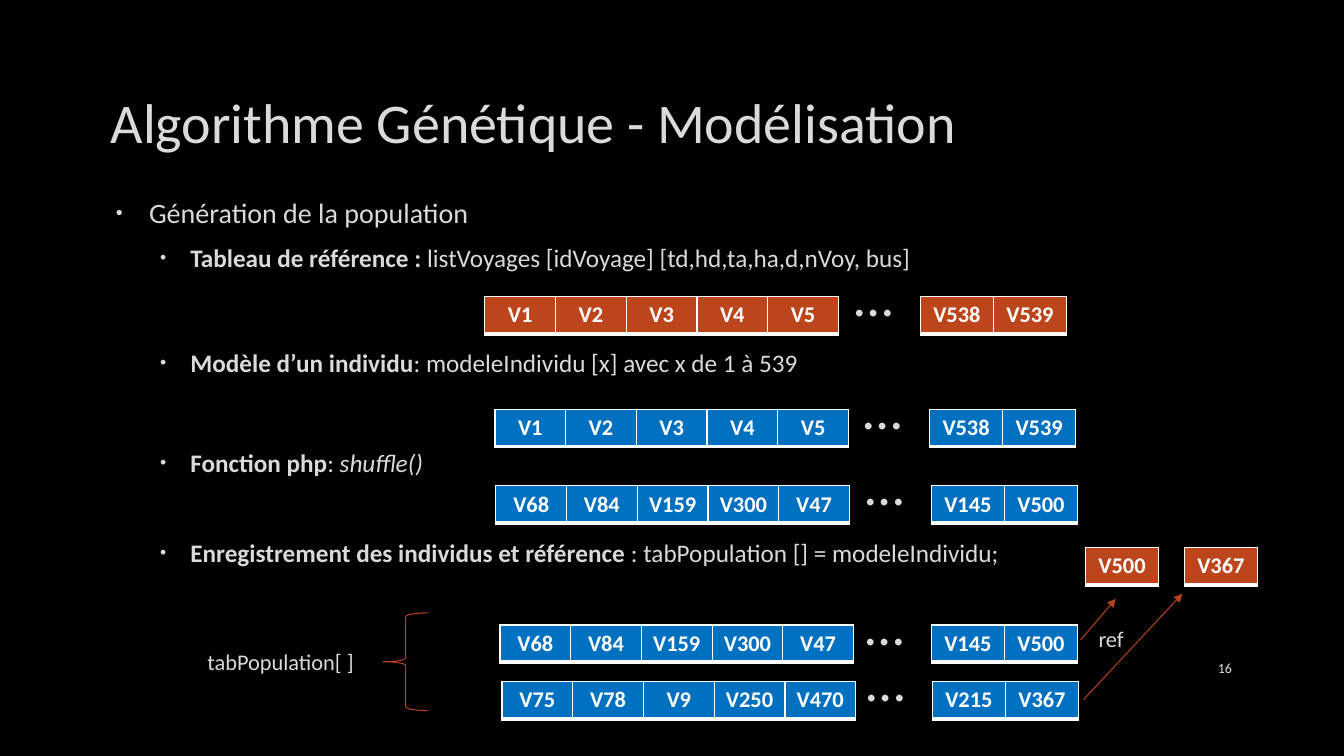
"""Build the slide on modelling a genetic algorithm."""
from dataclasses import dataclass

from lxml import etree
from pptx import Presentation
from pptx.dml.color import RGBColor
from pptx.enum import shapes, text
from pptx.oxml import ns
from pptx.util import Pt

BLACK = RGBColor(0x00, 0x00, 0x00)
WHITE = RGBColor(0xFF, 0xFF, 0xFF)
GREY = RGBColor(0xDA, 0xDA, 0xDA)
BLUE = RGBColor(0x00, 0x70, 0xC0)
RUST = RGBColor(0xBC, 0x45, 0x1B)
BRICK = RGBColor(0xB4, 0x42, 0x1A)
FONT = "Calibri"
HEAD_W, TAIL_W, ROW_H = 50.54, 52.2, 26.7
DOTS_DX, DOTS_DY = 54, 29.2


@dataclass
class Strip:
    left: float
    top: float
    width: float
    fill: RGBColor
    names: str


@dataclass
class Chain:
    left: float
    right: float
    top: float
    fill: RGBColor
    head: str
    tail: str


@dataclass
class Label:
    words: str
    left: float
    top: float
    width: float
    height: float
    size: float
    align: text.PP_ALIGN = text.PP_ALIGN.LEFT
    anchor: text.MSO_ANCHOR = text.MSO_ANCHOR.TOP


@dataclass
class Point:
    bold: str
    plain: str
    slant: str
    size: float
    gap: float
    margin: float
    indent: float


@dataclass
class Arrow:
    x1: float
    y1: float
    x2: float
    y2: float


CHAINS = [
    Chain(346.3, 657.4, 211.7, RUST, "V1 V2 V3 V4 V5", "V538 V539"),
    Chain(353.5, 664, 292.3, BLUE, "V1 V2 V3 V4 V5", "V538 V539"),
    Chain(354.2, 665.3, 347, BLUE, "V68 V84 V159 V300 V47", "V145 V500"),
    Chain(357.1, 665.3, 446.4, BLUE, "V68 V84 V159 V300 V47", "V145 V500"),
    Chain(358.6, 666, 486.7, BLUE, "V75 V78 V9 V250 V470", "V215 V367"),
]
SINGLES = [
    Strip(775.4, 391, TAIL_W, RUST, "V500"),
    Strip(846, 391, TAIL_W, RUST, "V367"),
]
LABELS = [
    Label("Algorithme Génétique - Modélisation", 72, 48.2, 815, 76.3, 40,
          anchor=text.MSO_ANCHOR.MIDDLE),
    Label("16", 828, 463, 59, 28.8, 10, text.PP_ALIGN.RIGHT, text.MSO_ANCHOR.MIDDLE),
    Label("tabPopulation[ ]", 141.1, 459.4, 141.1, 26.7, 16),
    Label("ref", 777.6, 442.8, 43.2, 26.7, 16),
]
POINTS = [
    Point("", "Génération de la population", "", 20, 0, 27.4, -23.8),
    Point("Tableau de référence : ", "listVoyages [idVoyage] [td,hd,ta,ha,d,nVoy, bus]",
          "", 18, 9.2, 56.9, -21.6),
    Point("Modèle d’un individu", ": modeleIndividu [x] avec x de 1 à 539",
          "", 18, 53.7, 56.9, -21.6),
    Point("Fonction php", ": ", "shuffle()", 18, 49.5, 56.9, -21.6),
    Point("Enregistrement des individus et référence ",
          ": tabPopulation [] = modeleIndividu;", "", 18, 43, 56.9, -21.6),
]
ARROWS = [Arrow(771.8, 457.2, 797, 427.7), Arrow(774, 499.7, 844.6, 424.1)]


def style(run, size: float, color: RGBColor, bold: bool = False, slant: bool = False) -> None:
    """Set the font of a run."""
    font = run.font
    font.name, font.size, font.bold, font.italic = FONT, Pt(size), bold, slant
    font.color.rgb = color


def draw_label(page, label: Label) -> None:
    """Draw one line of text."""
    box = page.shapes.add_textbox(*map(Pt, (label.left, label.top, label.width, label.height)))
    frame = box.text_frame
    frame.word_wrap = True
    frame.vertical_anchor = label.anchor
    frame.text = label.words
    para = frame.paragraphs[0]
    para.alignment = label.align
    style(para.runs[0], label.size, GREY)


def draw_edge(props, side: str, width: float) -> None:
    """Add one white border to a cell."""
    edge = etree.SubElement(props, ns.qn(f"a:ln{side}"), w=str(Pt(width)))
    fill = etree.SubElement(edge, ns.qn("a:solidFill"))
    etree.SubElement(fill, ns.qn("a:srgbClr"), val=str(WHITE))


def draw_strip(page, strip: Strip) -> None:
    """Draw a one-row table of trips."""
    names = strip.names.split()
    frame = page.shapes.add_table(1, len(names), Pt(strip.left), Pt(strip.top),
                                  Pt(strip.width * len(names)), Pt(ROW_H))
    table = frame.table
    table.first_row = table.horz_banding = False
    for col, name in enumerate(names):
        table.columns[col].width = Pt(strip.width)
        cell = table.cell(0, col)
        cell.text_frame.text = name
        para = cell.text_frame.paragraphs[0]
        para.alignment = text.PP_ALIGN.CENTER
        style(para.runs[0], 16, WHITE, bold=True)
        props = cell._tc.get_or_add_tcPr()
        for side, width in zip("LRTB", (1, 1, 1, 3)):
            draw_edge(props, side, width)
        cell.fill.solid()
        cell.fill.fore_color.rgb = strip.fill


def draw_chain(page, chain: Chain) -> None:
    """Draw two strips with dots between them."""
    draw_strip(page, Strip(chain.left, chain.top, HEAD_W, chain.fill, chain.head))
    draw_strip(page, Strip(chain.right, chain.top, TAIL_W, chain.fill, chain.tail))
    draw_label(page, Label("…", chain.right - DOTS_DX, chain.top - DOTS_DY, 54.7, 55.7, 40))


def draw_points(page, points: list[Point]) -> None:
    """Draw the bullet list."""
    frame = page.shapes.add_textbox(Pt(72), Pt(136.1), Pt(815), Pt(368)).text_frame
    frame.word_wrap = True
    for rank, point in enumerate(points):
        para = frame.add_paragraph() if rank else frame.paragraphs[0]
        para.space_before = Pt(point.gap)
        props = para._p.get_or_add_pPr()
        props.set("marL", str(Pt(point.margin)))
        props.set("indent", str(Pt(point.indent)))
        props.set("lvl", str(min(rank, 1)))
        color = etree.SubElement(props, ns.qn("a:buClr"))
        etree.SubElement(color, ns.qn("a:srgbClr"), val=str(GREY))
        etree.SubElement(props, ns.qn("a:buSzPct"), val="70000")
        etree.SubElement(props, ns.qn("a:buFont"), typeface="Arial")
        etree.SubElement(props, ns.qn("a:buChar"), char="•")
        for part in filter(None, (point.bold, point.plain, point.slant)):
            run = para.add_run()
            run.text = part
            style(run, point.size, GREY, part == point.bold, part == point.slant)


def draw_brace(page) -> None:
    """Draw the brace that groups the stored rows."""
    brace = page.shapes.add_shape(shapes.MSO_SHAPE.LEFT_BRACE,
                                  Pt(273.6), Pt(437.8), Pt(32.4), Pt(69.8))
    brace.shadow.inherit = False
    brace.fill.background()
    brace.line.color.rgb = BRICK
    brace.line.width = Pt(0.75)


def draw_arrow(page, arrow: Arrow) -> None:
    """Draw a reference arrow."""
    link = page.shapes.add_connector(shapes.MSO_CONNECTOR.STRAIGHT,
                                     *map(Pt, (arrow.x1, arrow.y1, arrow.x2, arrow.y2)))
    link.line.color.rgb = BRICK
    link.line.width = Pt(0.75)
    etree.SubElement(link.line._get_or_add_ln(), ns.qn("a:tailEnd"), type="triangle")
    etree.SubElement(link._element.spPr, ns.qn("a:effectLst"))


def main() -> None:
    """Build and save the deck."""
    deck = Presentation()
    deck.slide_width, deck.slide_height = Pt(960), Pt(540)
    page = deck.slides.add_slide(deck.slide_layouts[6])
    page.background.fill.solid()
    page.background.fill.fore_color.rgb = BLACK
    draw_points(page, POINTS)
    for draw, items in ((draw_chain, CHAINS), (draw_strip, SINGLES),
                        (draw_arrow, ARROWS), (draw_label, LABELS)):
        for item in items:
            draw(page, item)
    draw_brace(page)
    deck.save("out.pptx")


if __name__ == "__main__":
    main()
